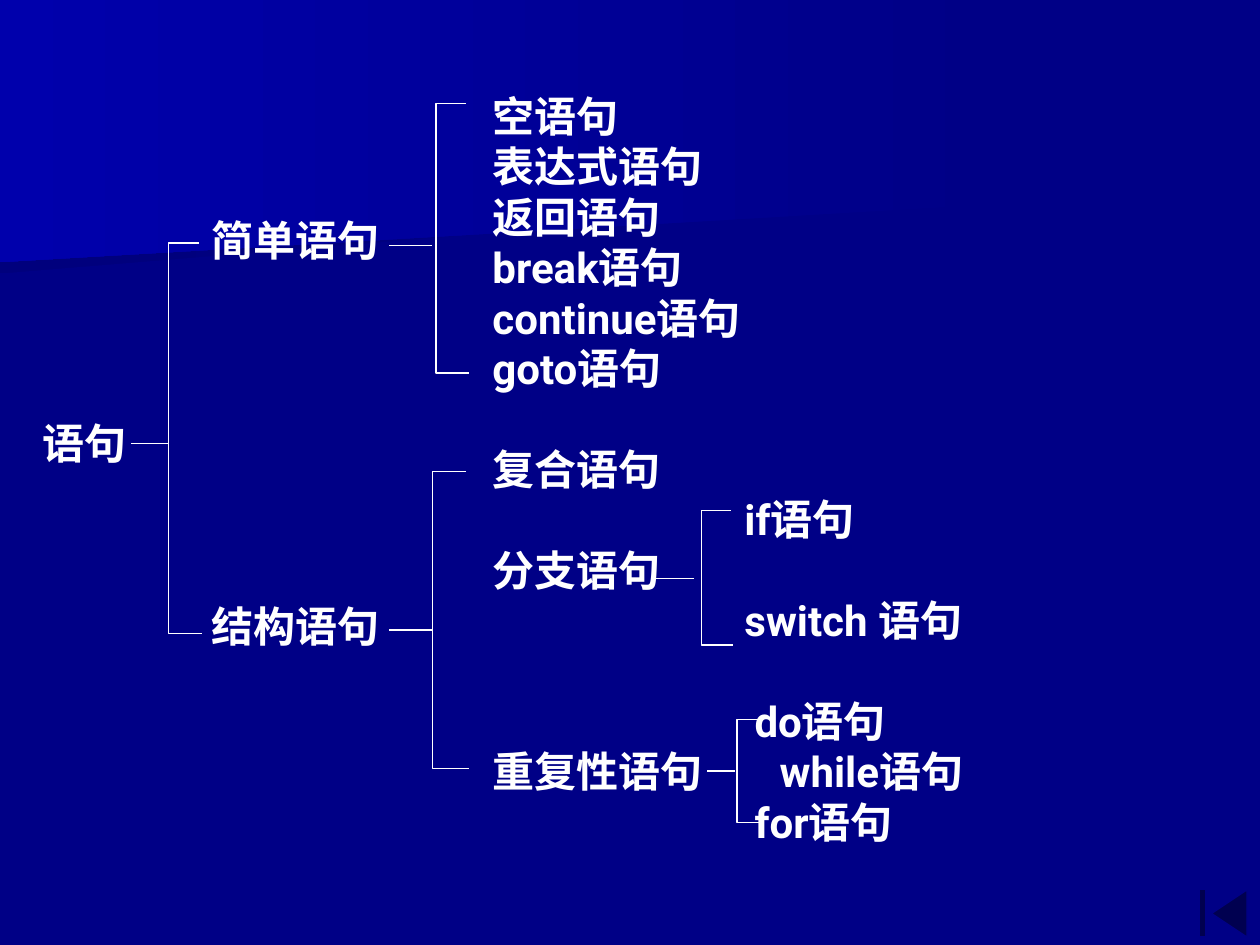
from lxml.etree import SubElement
from pptx import Presentation
from pptx.dml.color import RGBColor
from pptx.enum.shapes import MSO_CONNECTOR, MSO_SHAPE
from pptx.oxml.ns import qn
from pptx.util import Inches, Pt

COLORS = {"background": "000086", "shade": "00007D", "glow": "0000AC", "white": "FFFFFF"}
FONT = "Roboto"
TEXT_SIZE = Pt(24)
LINE_WIDTH = Pt(0.75)
ROW_GAP = Pt(28.8)


def color(name):
    return RGBColor.from_string(COLORS[name])


class SlideBuilder:
    """Draws styled elements on the current slide."""

    def __init__(self, slide):
        self.slide = slide
        self.shapes = slide.shapes
        fill = slide.background.fill
        fill.solid()
        fill.fore_color.rgb = color("background")

    def outline(self, points, close):
        corners = [(Inches(x), Inches(y)) for x, y in points]
        builder = self.shapes.build_freeform(*corners[0])
        builder.add_line_segments(corners[1:], close=close)
        shape = builder.convert_to_shape()
        shape.shadow.inherit = False
        return shape

    def wedge(self, points, end_color):
        shape = self.outline(points, close=True)
        shape.line.fill.background()
        shape.fill.gradient()
        shape.fill.gradient_angle = 180
        for stop, name, position in zip(
            shape.fill.gradient_stops, ("background", end_color), (0, 1)
        ):
            stop.color.rgb = color(name)
            stop.position = position

    def bracket(self, spine, top, bottom, top_end, bottom_end):
        points = [(top_end, top), (spine, top), (spine, bottom), (bottom_end, bottom)]
        shape = self.outline(points, close=False)
        shape.fill.background()
        self.style_line(shape.line)

    def stem(self, left, right, y):
        connector = self.shapes.add_connector(
            MSO_CONNECTOR.STRAIGHT, Inches(right), Inches(y), Inches(left), Inches(y)
        )
        self.style_line(connector.line)
        SubElement(connector._element.spPr, qn("a:effectLst"))

    def style_line(self, line):
        line.color.rgb = color("white")
        line.width = LINE_WIDTH

    def text(self, left, top, width, height, rows, insets=(0.01, 0.01)):
        shape = self.shapes.add_textbox(
            Inches(left), Inches(top), Inches(width), Inches(height)
        )
        frame = shape.text_frame
        frame.word_wrap = True
        frame.margin_left = frame.margin_right = Inches(insets[0])
        frame.margin_top = frame.margin_bottom = Inches(insets[1])
        frame.text = "\n".join(row[0] for row in rows)
        for paragraph, (_, tab, gap) in zip(frame.paragraphs, rows):
            if tab:
                tabs = SubElement(paragraph._p.get_or_add_pPr(), qn("a:tabLst"))
                SubElement(tabs, qn("a:tab"), pos=str(Inches(tab)), algn="l")
            if gap:
                paragraph.space_before = ROW_GAP
            for run in paragraph.runs:
                run.font.name = FONT
                run.font.size = TEXT_SIZE
                run.font.bold = True
                run.font.color.rgb = color("white")

    def label(self, left, top, width, text):
        self.text(left, top, width, 0.41, [(text, None, False)])

    def button(self, left, top, width, height):
        shape = self.shapes.add_shape(
            MSO_SHAPE.ACTION_BUTTON_BEGINNING,
            Inches(left), Inches(top), Inches(width), Inches(height),
        )
        shape.shadow.inherit = False
        shape.fill.solid()
        shape.fill.fore_color.rgb = color("background")
        shape.line.color.rgb = color("background")
        shape.line.width = LINE_WIDTH


STATEMENTS = [
    ("空语句", None, False),
    ("表达式语句", None, False),
    ("返回语句", None, False),
    ("break语句", None, False),
    ("continue语句", None, False),
    ("goto语句", None, False),
    ("复合语句", None, True),
    ("\tif语句", 2, False),
    ("分支语句", None, False),
    ("\tswitch 语句", 2, False),
    ("\tdo语句", 2.08, True),
    ("重复性语句\twhile语句", 2.28, False),
    ("\tfor语句", 2.08, False),
]
BRACKETS = [
    (5.57, 4.05, 5.12, 5.8, 5.82),
    (5.85, 5.71, 6.53, 6.03, 6.04),
    (1.34, 1.93, 5.03, 1.58, 1.6),
    (3.43, 3.74, 6.1, 3.7, 3.72),
    (3.46, 0.82, 2.96, 3.7, 3.72),
]
STEMS = [
    (5.21, 5.51, 4.59),
    (5.61, 5.83, 6.12),
    (1.04, 1.34, 3.52),
    (3.09, 3.43, 5),
    (3.09, 3.43, 1.95),
]
LABELS = [
    (1.67, 1.69, 1.57, "简单语句"),
    (1.67, 4.76, 1.57, "结构语句"),
    (0.33, 3.3, 0.93, "语句"),
]


def main():
    presentation = Presentation()
    presentation.slide_width = Inches(10)
    presentation.slide_height = Inches(7.5)
    builder = SlideBuilder(presentation.slides.add_slide(presentation.slide_layouts[6]))

    builder.wedge([(7.78, 1.53), (0, 2.17), (0, 1.01), (7.79, 1.01), (7.78, 1.28)], "shade")
    builder.wedge([(7.92, 1.62), (0, 2.08), (0, 0), (7.92, 0)], "glow")
    builder.text(3.81, 0.67, 5.81, 6.3, STATEMENTS, insets=(0.1, 0.05))
    for bracket in BRACKETS:
        builder.bracket(*bracket)
    for stem in STEMS:
        builder.stem(*stem)
    for label in LABELS:
        builder.label(*label)
    builder.button(9.42, 7, 0.58, 0.5)

    presentation.save("out.pptx")


if __name__ == "__main__":
    main()
